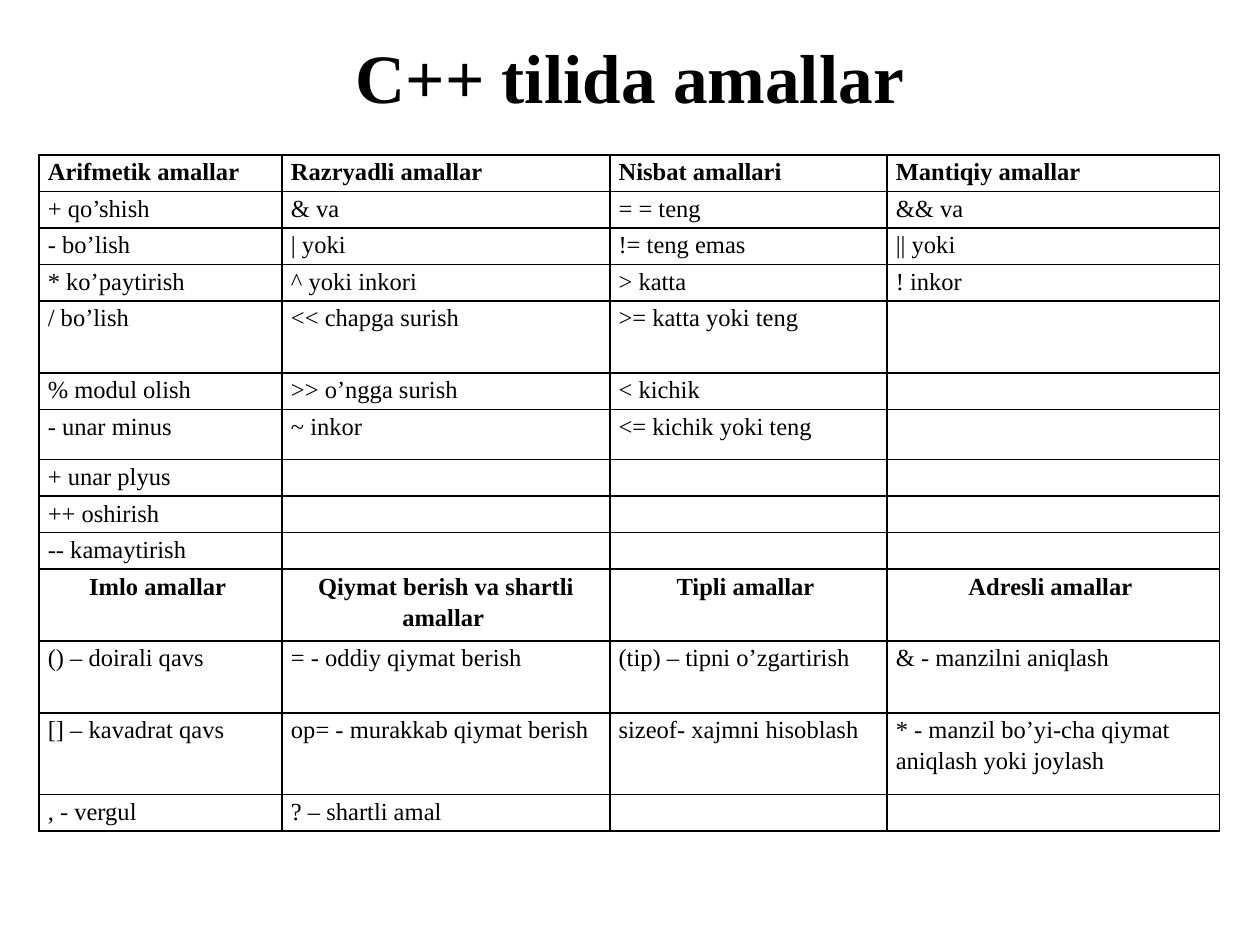
from lxml import etree
from pptx import Presentation
from pptx import util as u
from pptx.dml.color import RGBColor
from pptx.enum import text
from pptx.oxml import ns

FONT = "Times New Roman"
INK = "000000"
TITLE = "C++ tilida amallar"

# Table content: two blocks of operators, each under its own heading row
ROWS = [
    ("Arifmetik amallar", "Razryadli amallar", "Nisbat amallari", "Mantiqiy amallar"),
    ("+ qo’shish", "& va", "= = teng", "&& va"),
    ("- bo’lish", "| yoki", "!= teng emas", "|| yoki"),
    ("* ko’paytirish", "^ yoki inkori", "> katta", "! inkor"),
    ("/ bo’lish", "<< chapga surish", ">= katta yoki teng", ""),
    ("% modul olish", ">> o’ngga surish", "< kichik", ""),
    ("- unar minus", "~ inkor", "<= kichik yoki teng", ""),
    ("+ unar plyus", "", "", ""),
    ("++ oshirish", "", "", ""),
    ("-- kamaytirish", "", "", ""),
    ("Imlo amallar ", "Qiymat berish va shartli amallar ", "Tipli amallar ", "Adresli amallar "),
    ("() – doirali qavs", "= - oddiy qiymat berish", "(tip) – tipni o’zgartirish",
     "& - manzilni aniqlash"),
    ("[] – kavadrat qavs", "op= - murakkab qiymat berish", "sizeof- xajmni hisoblash",
     "* - manzil bo’yi-cha qiymat aniqlash yoki joylash"),
    (", - vergul", "? – shartli amal", "", ""),
]
HEADINGS = {0: text.PP_ALIGN.LEFT, 10: text.PP_ALIGN.CENTER}
WIDTHS = [1.93, 2.6, 2.2, 2.64]
ROW_HEIGHT = 0.29
TALL_ROWS = {4: 0.57, 6: 0.4, 10: 0.57, 11: 0.57, 12: 0.65}


def colour(value):
    return RGBColor.from_string(value)


def style(para, size, bold, align):
    para.alignment = align
    font = para.font
    font.name, font.size, font.bold = FONT, u.Pt(size), bold
    font.color.rgb = colour(INK)


def add_borders(cell, width=1):
    properties = cell._tc.get_or_add_tcPr()
    for side in ("a:lnL", "a:lnR", "a:lnT", "a:lnB"):
        line = etree.SubElement(properties, ns.qn(side), w=str(u.Pt(width)))
        fill = etree.SubElement(line, ns.qn("a:solidFill"))
        etree.SubElement(fill, ns.qn("a:srgbClr"), val=INK)


def fill_cell(cell, words, bold, align):
    cell.margin_left = cell.margin_right = u.Inches(0.07)
    cell.margin_top = cell.margin_bottom = 0
    add_borders(cell)
    cell.fill.background()
    para = cell.text_frame.paragraphs[0]
    style(para, 14, bold, align)
    para.line_spacing = 1.15
    if words:
        para.add_run().text = words
    else:  # keeps empty cells from stretching their row
        etree.SubElement(para._p, ns.qn("a:endParaRPr"), sz="1400")


deck = Presentation()
deck.slide_width, deck.slide_height = u.Inches(10), u.Inches(7.5)
page = deck.slides.add_slide(deck.slide_layouts[6])

# Title
box = page.shapes.add_textbox(u.Inches(0.5), u.Inches(0.3), u.Inches(9), u.Inches(0.61))
frame = box.text_frame
frame.word_wrap = True
frame.vertical_anchor = text.MSO_ANCHOR.MIDDLE
frame.text = TITLE
style(frame.paragraphs[0], 39.6, True, text.PP_ALIGN.CENTER)

# Table of operators
heights = [TALL_ROWS.get(i, ROW_HEIGHT) for i in range(len(ROWS))]
table = page.shapes.add_table(
    len(ROWS), len(WIDTHS), u.Inches(0.31), u.Inches(1.23),
    u.Inches(sum(WIDTHS)), u.Inches(sum(heights))).table
table.first_row = table.horz_banding = False
for column, width in zip(table.columns, WIDTHS):
    column.width = u.Inches(width)
for i, (row, height) in enumerate(zip(table.rows, heights)):
    row.height = u.Inches(height)
    for cell, words in zip(row.cells, ROWS[i]):
        fill_cell(cell, words, i in HEADINGS, HEADINGS.get(i, text.PP_ALIGN.LEFT))

deck.save("out.pptx")
